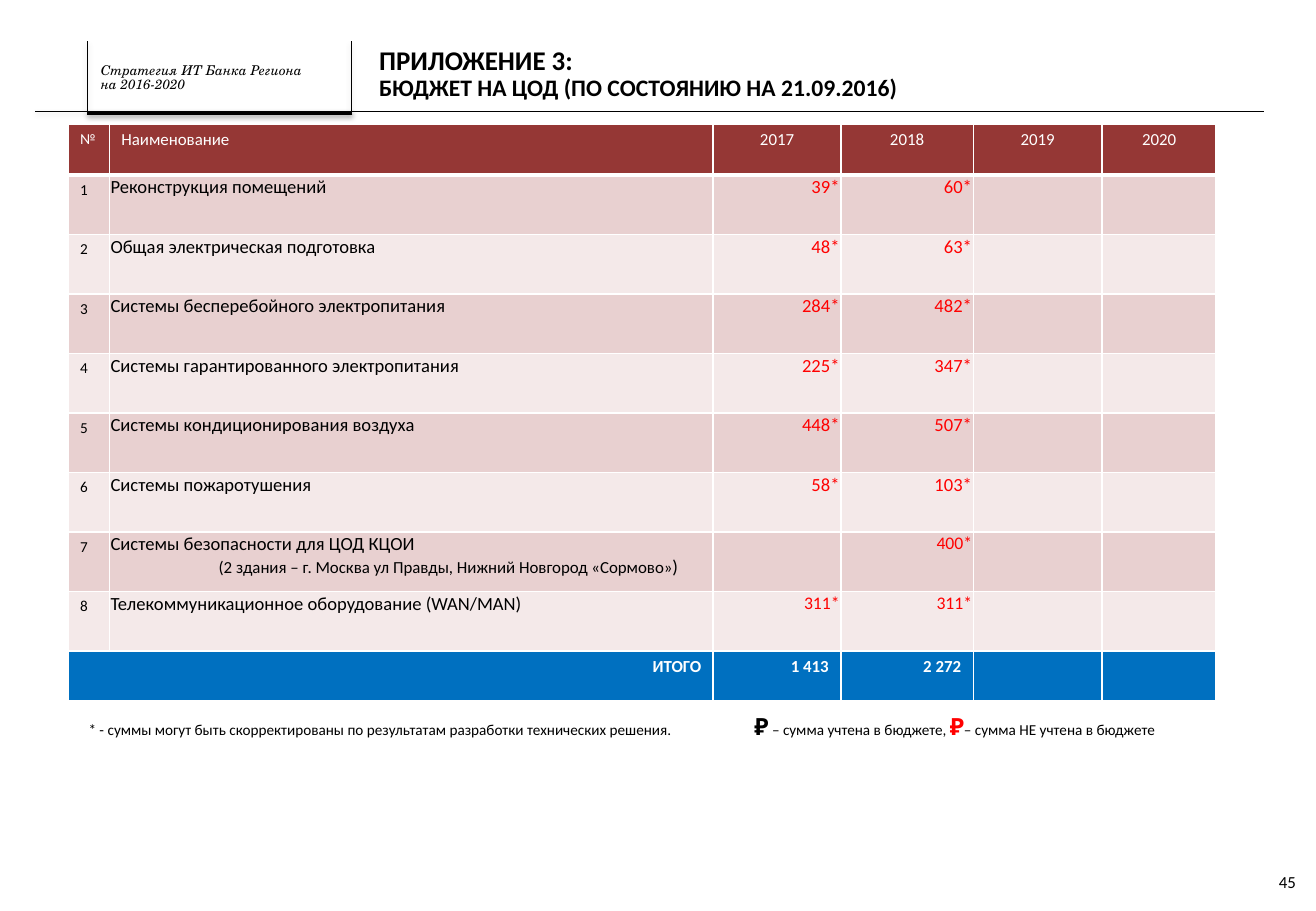
from lxml import etree
from pptx import Presentation
from pptx.dml.color import RGBColor
from pptx.enum import shapes, text
from pptx.oxml import parse_xml
from pptx.oxml.ns import nsdecls
from pptx.util import Inches, Pt

COLORS = {
    "black": "000000", "white": "FFFFFF", "red": "FF0000", "header": "953735",
    "odd": "E8D0D0", "even": "F4E9E9", "total": "0070C0",
}
LEFT, CENTER, RIGHT = text.PP_ALIGN.LEFT, text.PP_ALIGN.CENTER, text.PP_ALIGN.RIGHT


def fill_paragraph(paragraph, runs, indent=0, **formats):
    """Write runs of (text, size, colour, font attributes) and format the paragraph."""
    for name, value in formats.items():
        setattr(paragraph, name, value)
    if indent:
        paragraph._p.get_or_add_pPr().set("marL", str(Inches(indent)))
    for words, size, color, font_formats in runs:
        run = paragraph.add_run()
        run.text = words
        run.font.size = Pt(size)
        run.font.color.rgb = RGBColor.from_string(COLORS[color])
        for name, value in {"name": "Calibri", **font_formats}.items():
            setattr(run.font, name, value)


def add_text(box, paragraphs, inset=True, anchor=text.MSO_ANCHOR.TOP, **formats):
    frame = slide.shapes.add_textbox(*[Inches(value) for value in box]).text_frame
    frame.word_wrap = True
    frame.vertical_anchor = anchor
    if not inset:
        for side in ("left", "top", "right", "bottom"):
            setattr(frame, f"margin_{side}", 0)
    for index, runs in enumerate(paragraphs):
        paragraph = frame.add_paragraph() if index else frame.paragraphs[0]
        fill_paragraph(paragraph, runs, **formats)


presentation = Presentation()
presentation.slide_width, presentation.slide_height = Inches(10.83), Inches(7.5)
slide = presentation.slides.add_slide(presentation.slide_layouts[6])

# Header rules around the document name
header_lines = [
    (0.72, 0.92, 0.29, 0.92, 0.25),
    (2.9, 0.93, 0.72, 0.93, 2.25),
    (10.4, 0.92, 2.88, 0.92, 0.25),
    (0.72, 0.93, 0.72, 0.34, 0.25),
    (2.89, 0.93, 2.89, 0.34, 0.25),
]
for *ends, width in header_lines:
    line = slide.shapes.add_connector(
        shapes.MSO_CONNECTOR.STRAIGHT, *[Inches(value) for value in ends])
    line.line.width = Pt(width)
    line.line.color.rgb = RGBColor.from_string(COLORS["black"])
    line._element.spPr.append(parse_xml(
        f'<a:effectLst {nsdecls("a")}><a:outerShdw blurRad="40000" dist="20000" dir="5400000" '
        f'rotWithShape="0"><a:srgbClr val="{COLORS["black"]}"><a:alpha val="38000"/>'
        '</a:srgbClr></a:outerShdw></a:effectLst>'))

# Document name, title and page number
document_font = {"name": "TeX Gyre Schola", "italic": True}
add_text((0.83, 0.53, 2.03, 0.23),
         [[(words, 8, "black", document_font)]
          for words in ("Стратегия ИТ Банка Региона", "на 2016-2020")],
         inset=False, anchor=text.MSO_ANCHOR.MIDDLE, line_spacing=0.85)
add_text((3.02, 0.39, 7.57, 0.38),
         [[("ПРИЛОЖЕНИЕ 3:", 16, "black", {"bold": True})],
          [("БЮДЖЕТ НА ЦОД (ПО СОСТОЯНИЮ НА 21.09.2016)", 14, "black", {"bold": True})]],
         inset=False, indent=0.1, line_spacing=0.9)
add_text((10.38, 7.06, 0.43, 0.4), [[("45", 10, "black", {})]],
         inset=False, anchor=text.MSO_ANCHOR.MIDDLE, alignment=CENTER)

# Budget table
headings = ["№", "Наименование", "2017", "2018", "2019", "2020"]
budget = [
    ("Реконструкция помещений", "39*", "60*"),
    ("Общая электрическая подготовка", "48*", "63*"),
    ("Системы бесперебойного электропитания", "284*", "482*"),
    ("Системы гарантированного электропитания", "225*", "347*"),
    ("Системы кондиционирования воздуха", "448*", "507*"),
    ("Системы пожаротушения", "58*", "103*"),
    ("Системы безопасности для ЦОД КЦОИ", "", "400*"),
    ("Телекоммуникационное оборудование (WAN/MAN)", "311*", "311*"),
]
totals = ["ИТОГО", "", "1 413", "2 272", "", ""]
rows = [headings]
rows += [[str(number), *item, "", ""] for number, item in enumerate(budget, 1)]
rows.append(totals)
last = len(rows) - 1

table = slide.shapes.add_table(
    len(rows), len(headings), Inches(0.56), Inches(1.02), Inches(9.46), Inches(4.72)).table
for column, width in zip(table.columns, (0.34, 4.97, 1.05, 1.09, 1.06, 0.94)):
    column.width = Inches(width)
for row, height in zip(table.rows, [0.42] + [0.49] * len(budget) + [0.41]):
    row.height = Inches(height)
table.cell(last, 0).merge(table.cell(last, 1))

for row_index, values in enumerate(rows):
    for column_index, value in enumerate(values):
        cell = table.cell(row_index, column_index)
        size, color, bold, alignment = 10, "white", False, LEFT
        if row_index == 0:
            background = "header"
            size = 10 if column_index else 9
            alignment = CENTER if column_index > 1 else LEFT
        elif row_index == last:
            background, bold, alignment = "total", True, RIGHT
        else:
            background = "odd" if row_index % 2 else "even"
            color = "red" if column_index > 1 else "black"
            size = 9 if column_index == 0 else 11
            if column_index > 1:
                alignment = RIGHT
                size = 10.5 if row_index > 6 else 11
            if column_index and value:
                cell.margin_left = cell.margin_top = cell.margin_right = Inches(0.01)
                cell.margin_bottom = 0
        paragraph = cell.text_frame.paragraphs[0]
        if value:
            fill_paragraph(paragraph, [(value, size, color, {"bold": bold})], alignment=alignment)
        else:
            paragraph.font.size = Pt(size)

        properties = cell._tc.get_or_add_tcPr()
        for side in ("lnL", "lnR", "lnT", "lnB"):
            thick = (row_index, side) in ((0, "lnB"), (1, "lnT"))
            border = etree.SubElement(
                properties, properties.tag.replace("tcPr", side), w=str(Pt(3 if thick else 1)))
            border.append(parse_xml(
                f'<a:solidFill {nsdecls("a")}><a:srgbClr val="{COLORS["white"]}"/></a:solidFill>'))
        cell.fill.solid()
        cell.fill.fore_color.rgb = RGBColor.from_string(COLORS[background])

fill_paragraph(
    table.cell(7, 1).text_frame.add_paragraph(),
    [("(2 здания – г. Москва ул Правды, Нижний Новгород «Сормово»", 10, "black", {}),
     (")", 11, "black", {})], indent=0.89)

# Footnote and legend
note_spacing = {"space_before": Pt(6), "space_after": Pt(6)}
add_text((0.13, 5.88, 10.25, 0.25),
         [[("* - суммы могут быть скорректированы по результатам разработки "
            "технических решения.", 9, "black", {})]], indent=0.5, **note_spacing)
add_text((5.57, 5.81, 4.51, 0.34),
         [[("₽", 14, "black", {"bold": True}),
           (" – сумма учтена в бюджете, ", 9, "black", {}),
           ("₽", 14, "red", {"bold": True}),
           ("– сумма НЕ учтена в бюджете", 9, "black", {})]], indent=0.54, **note_spacing)

presentation.save("out.pptx")
